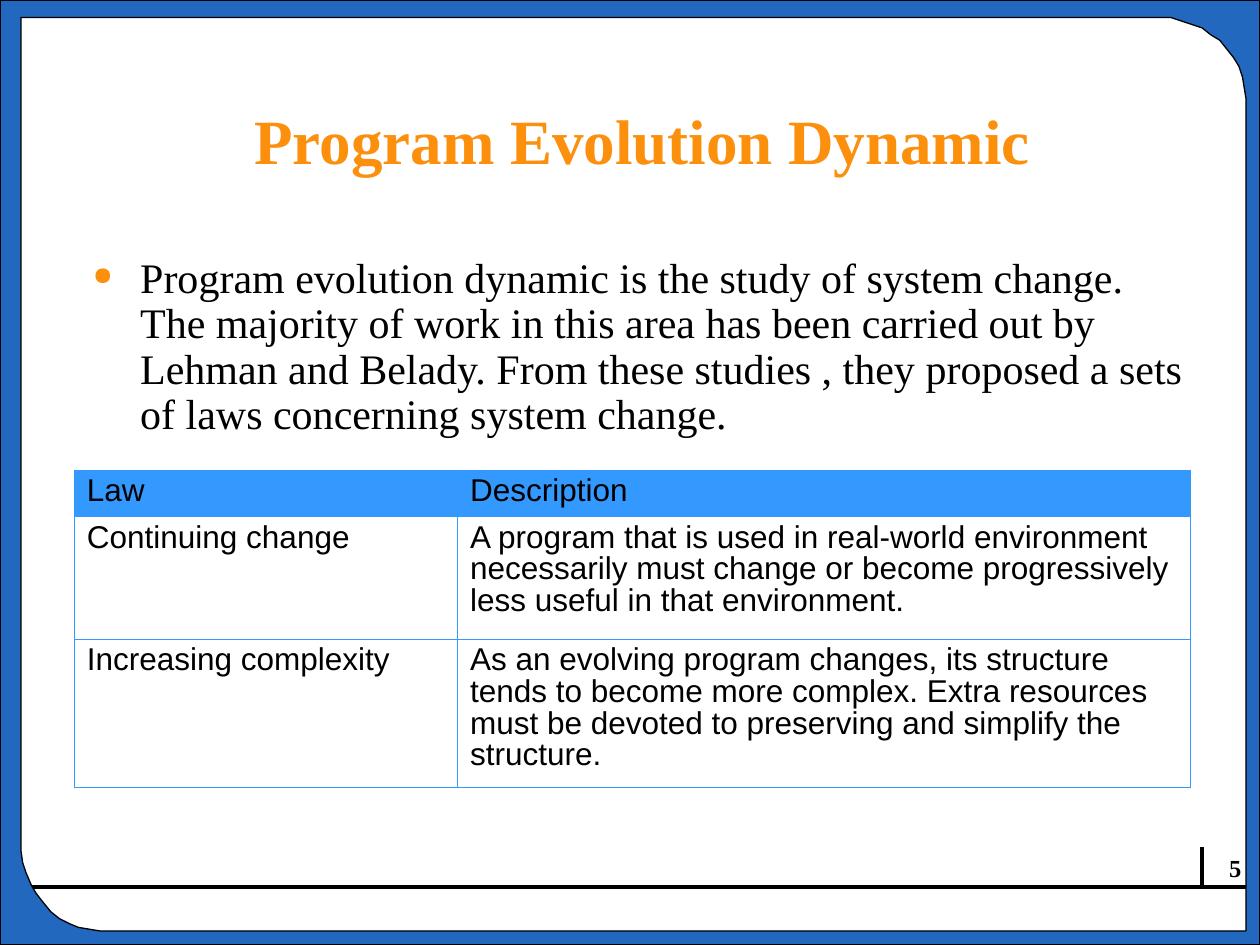
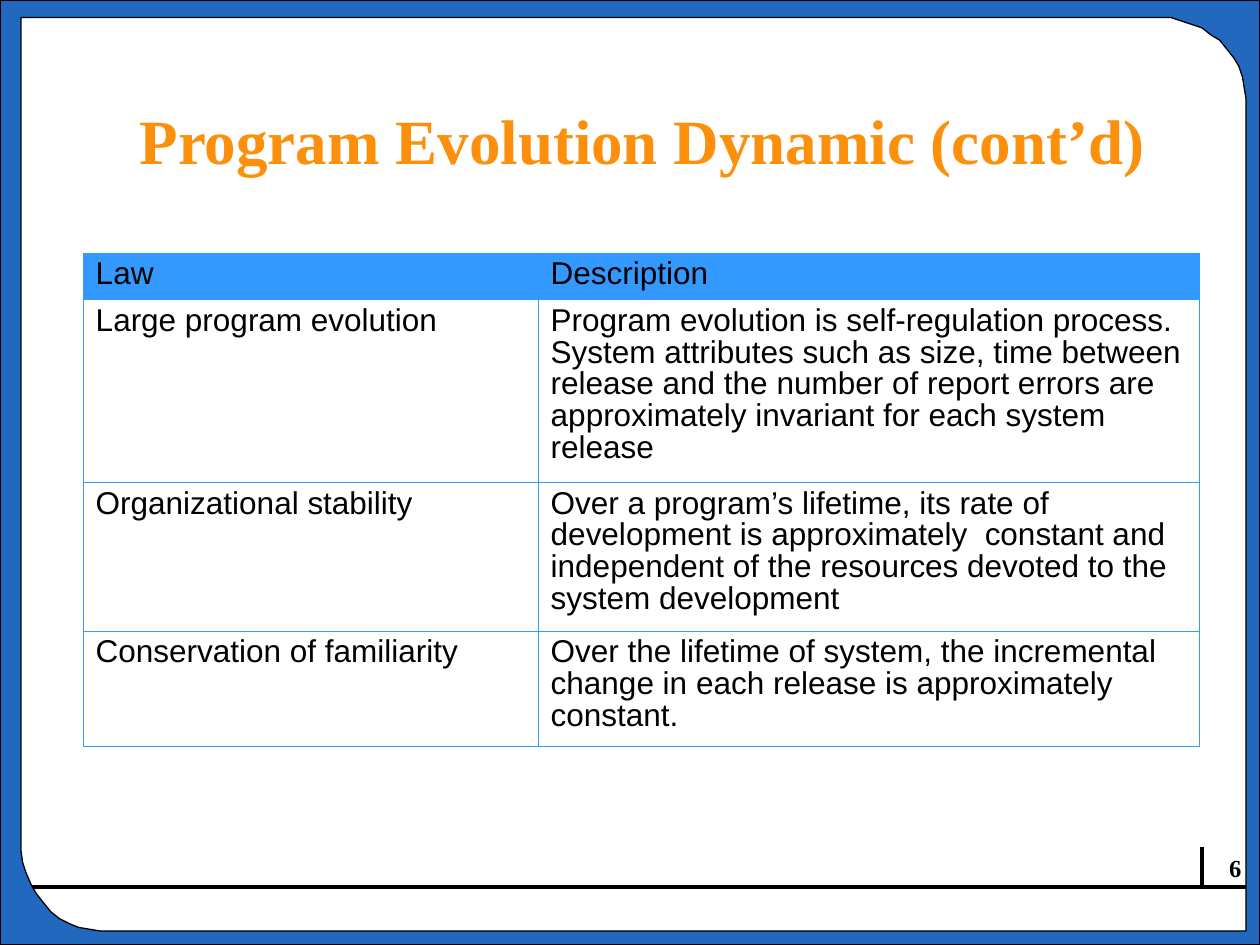
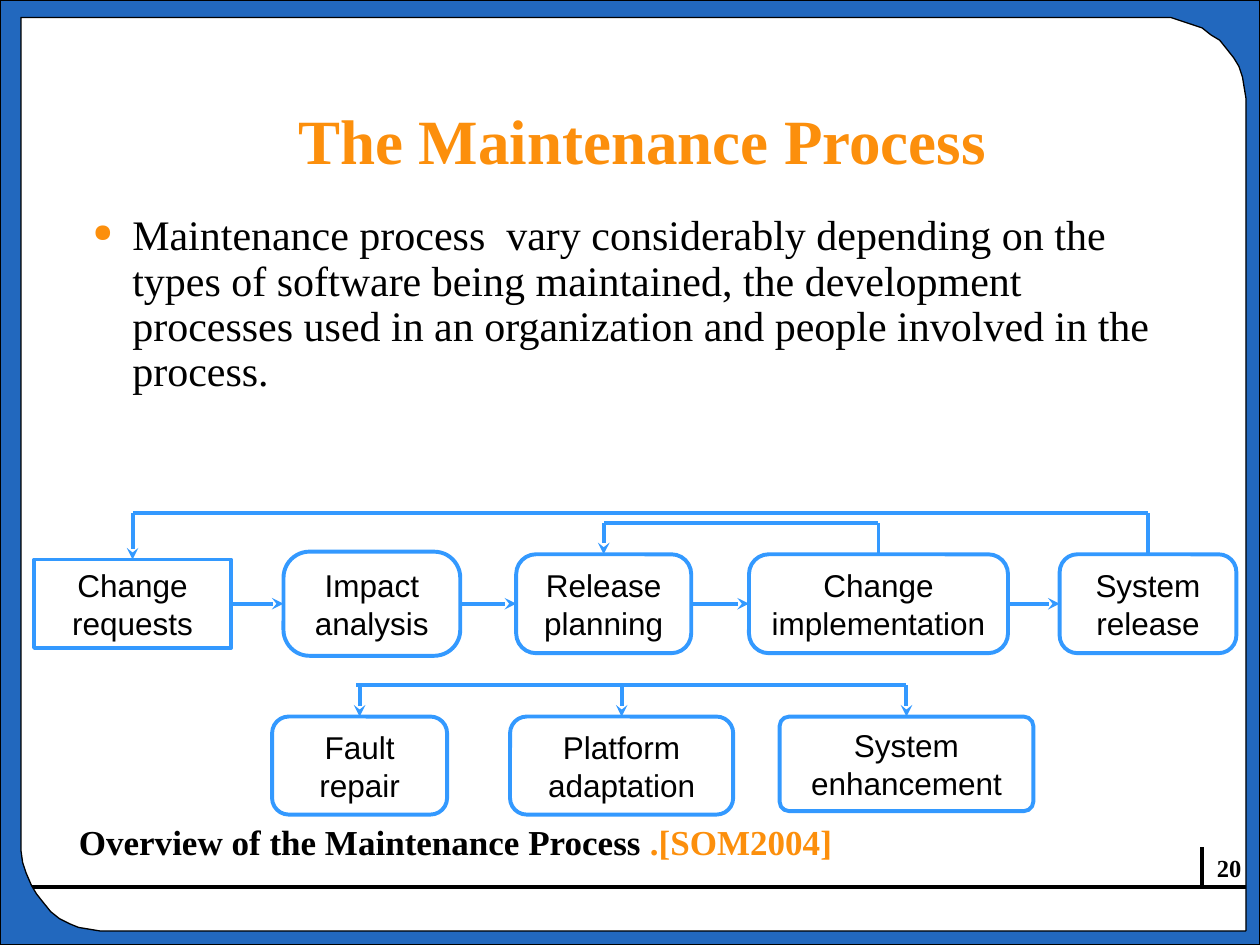
import math

from lxml import etree
from pptx import Presentation
from pptx.dml import color as dml
from pptx.enum import shapes, text
from pptx.oxml import ns
from pptx.util import Pt

BLUE, SKY, ORANGE, BLACK = "2268BE", "3399FF", "FC8F0C", "000000"
SERIF, SANS = "Times New Roman", "Arial"
WIDTH, HEIGHT = 720, 540
ALIGN, ANCHOR = text.PP_ALIGN, text.MSO_ANCHOR
TITLE_BOX = (49.5, 47.5, 635, 57)
PAGE_BOX = (652.5, 484, 64, 24.5)
TOP, LEFT, BOTTOM, RIGHT = range(4)


def color(value):
    """Turn a hex string into a colour."""
    return dml.RGBColor.from_string(value)


def add_xml(parent, tag, **attributes):
    """Append a DrawingML element."""
    return etree.SubElement(parent, ns.qn("a:" + tag), attributes)


def style(paragraph, name, size, hex_color=BLACK, bold=False, align=ALIGN.LEFT, spacing=1.0):
    """Set a paragraph's font, alignment and line spacing."""
    paragraph.alignment, paragraph.line_spacing = align, spacing
    font = paragraph.font
    font.name, font.size, font.bold = name, Pt(size), bold
    font.color.rgb = color(hex_color)


def place(shape, box):
    """Move and size a shape."""
    shape.left, shape.top, shape.width, shape.height = map(Pt, box)


def add_text(slide, box, content, anchor=ANCHOR.TOP):
    """Add a wrapping text box and return its paragraph."""
    frame = slide.shapes.add_textbox(*map(Pt, box)).text_frame
    frame.word_wrap, frame.vertical_anchor = True, anchor
    paragraph = frame.paragraphs[0]
    paragraph.text = content
    return paragraph


def add_line(slide, start, end, hex_color=BLACK, arrow=False):
    """Draw a straight line, with an arrowhead if asked."""
    line = slide.shapes.add_connector(shapes.MSO_CONNECTOR.STRAIGHT, *map(Pt, start + end))
    line.line.color.rgb, line.line.width = color(hex_color), Pt(2.25)
    if arrow:
        add_xml(line.line._get_or_add_ln(), "tailEnd", type="stealth")
    add_xml(line._element.spPr, "effectLst")
    return line


def arc(center, radii, first_angle):
    """Return the points of a quarter ellipse, clockwise."""
    angles = [math.radians(first_angle + 7.5 * step) for step in range(13)]
    return [(center[0] + radii[0] * math.cos(angle), center[1] + radii[1] * math.sin(angle))
            for angle in angles]


def add_border(slide):
    """Draw the blue border around a panel with two round corners."""
    left, top, right, bottom = 11.5, 10, 711.5, 531.5
    panel = [(left, top), *arc((662.5, 56), (49, 46), -90), (right, bottom),
             *arc((57, 479.5), (45.5, 52), 90)]
    builder = slide.shapes.build_freeform(0, 0, scale=Pt(1))
    builder.add_line_segments([(WIDTH, 0), (WIDTH, HEIGHT), (0, HEIGHT)], close=True)
    builder.move_to(*panel[0])
    builder.add_line_segments(panel[1:], close=True)
    border = builder.convert_to_shape()
    border.shadow.inherit = False
    border.fill.solid()
    border.fill.fore_color.rgb = color(BLUE)
    border.line.color.rgb, border.line.width = color(BLACK), Pt(0.75)


def add_slide(presentation, title, number):
    """Add a slide with title, footer lines, border and page number."""
    slide = presentation.slides.add_slide(presentation.slide_layouts[5])
    add_line(slide, (0, 507), (WIDTH, 507))
    add_line(slide, (687, 507), (687, 484))
    add_border(slide)
    style(add_text(slide, PAGE_BOX, str(number)), SERIF, 14, bold=True, align=ALIGN.RIGHT)
    heading = slide.shapes.title
    place(heading, TITLE_BOX)
    heading.text_frame.text = title
    heading.text_frame.vertical_anchor = ANCHOR.BOTTOM
    style(heading.text_frame.paragraphs[0], SERIF, 36, ORANGE, True, ALIGN.CENTER, 0.8)
    return slide


def add_bullet(slide, box, content, indent):
    """Add one bulleted paragraph."""
    paragraph = add_text(slide, box, content)
    properties = paragraph._p.get_or_add_pPr()
    properties.set("marL", str(Pt(indent)))
    properties.set("indent", str(-Pt(indent)))
    add_xml(add_xml(properties, "buClr"), "srgbClr", val=ORANGE)
    add_xml(properties, "buSzPct", val="60000")
    add_xml(properties, "buChar", char="●")
    style(paragraph, SERIF, 24, spacing=0.9)


def add_borders(cell):
    """Draw thin borders on the four sides of a cell."""
    properties = cell._tc.get_or_add_tcPr()
    for index, side in enumerate(("lnL", "lnR", "lnT", "lnB")):
        line = add_xml(properties, side, w=str(Pt(0.45)))
        add_xml(add_xml(line, "solidFill"), "srgbClr", val=SKY)
        properties.insert(index, line)


def add_law_table(slide, origin, columns, heights, laws):
    """Add a table of laws below a filled header row."""
    rows = [("Law", "Description"), *laws]
    box = (*origin, sum(columns), sum(heights))
    table = slide.shapes.add_table(len(rows), len(columns), *map(Pt, box)).table
    table.first_row = table.horz_banding = False
    for column, width in zip(table.columns, columns):
        column.width = Pt(width)
    for row_index, (row, height) in enumerate(zip(table.rows, heights)):
        row.height = Pt(height)
        for cell, content in zip(row.cells, rows[row_index]):
            cell.text = content
            style(cell.text_frame.paragraphs[0], SANS, 18, spacing=0.9)
            if row_index == 0:
                cell.fill.solid()
                cell.fill.fore_color.rgb = color(SKY)
            else:
                cell.fill.background()
            add_borders(cell)


def add_step(slide, label, box, radius):
    """Add an outlined process step."""
    step = slide.shapes.add_shape(shapes.MSO_SHAPE.ROUNDED_RECTANGLE, *map(Pt, box))
    step.adjustments[0] = radius
    step.shadow.inherit = False
    step.fill.background()
    step.line.color.rgb, step.line.width = color(SKY), Pt(2.25)
    frame = step.text_frame
    frame.word_wrap, frame.vertical_anchor = True, ANCHOR.MIDDLE
    frame.text = label
    style(frame.paragraphs[0], SANS, 18, align=ALIGN.CENTER)
    return step


def top_middle(step):
    """Return the middle of a step's upper side in points."""
    return (step.left + step.width / 2) / Pt(1), step.top / Pt(1)


def add_drop(slide, step, rail):
    """Draw an arrow from a rail down to a step."""
    x, y = top_middle(step)
    add_line(slide, (x, rail), (x, y), SKY, True).end_connect(step, TOP)


def add_feedback(slide, source, target, rail):
    """Lead a line from a step over a rail back to an earlier step."""
    (start, y), (end, _) = top_middle(source), top_middle(target)
    add_line(slide, (start, y), (start, rail), SKY).begin_connect(source, TOP)
    add_line(slide, (start, rail), (end, rail), SKY)
    add_drop(slide, target, rail)


def add_process(slide, left, top):
    """Draw the process steps, their feedback and the kinds of change."""
    middle, rail, kinds_top = top + 52, top + 98.5, top + 116.5
    steps = [add_step(slide, label, (left + x, middle - height / 2, width, height), radius)
             for label, x, width, height, radius in (
                 ("Change requests", 0, 112.5, 50.5, 0),
                 ("Impact analysis", 142.5, 101, 59.5, 0.25),
                 ("Release planning", 275.5, 100, 56.5, 0.2),
                 ("Change implementation", 408.5, 148, 56.5, 0.2),
                 ("System release", 586, 101, 56.5, 0.18))]
    kinds = [add_step(slide, label, (left + x, kinds_top, width, height), radius)
             for label, x, width, height, radius in (
                 ("Fault repair", 136, 100, 56, 0.17),
                 ("Platform adaptation", 272, 127.5, 56, 0.17),
                 ("System enhancement", 426, 145, 54, 0.1))]
    requests, _, planning, implementation, release = steps
    add_feedback(slide, release, requests, top)
    add_feedback(slide, implementation, planning, top + 6)
    for source, target in zip(steps, steps[1:]):
        arrow = add_line(slide, (0, middle), (0, middle), SKY, True)
        arrow.begin_connect(source, RIGHT)
        arrow.end_connect(target, LEFT)
    add_line(slide, (top_middle(kinds[0])[0] - 2, rail), (top_middle(kinds[-1])[0], rail), SKY)
    for kind in kinds:
        add_drop(slide, kind, rail)


def add_caption(slide, box, label, reference):
    """Add a bold caption that ends with a coloured reference."""
    paragraph = add_text(slide, box, label, ANCHOR.BOTTOM)
    style(paragraph, SERIF, 20, bold=True, spacing=0.8)
    run = paragraph.add_run()
    run.text = reference
    run.font.color.rgb = color(ORANGE)


def main():
    """Build the three slides."""
    presentation = Presentation()
    presentation.slide_width, presentation.slide_height = Pt(WIDTH), Pt(HEIGHT)

    slide = add_slide(presentation, "Program Evolution Dynamic", 5)
    add_law_table(slide, (42.5, 268.5), (219, 419), (26.5, 70, 85), [
        ("Continuing change",
         "A program that is used in real-world environment necessarily must change or "
         "become progressively less useful in that environment."),
        ("Increasing complexity",
         "As an evolving program changes, its structure tends to become more complex. Extra "
         "resources must be devoted to preserving and simplify the structure.")])
    add_bullet(slide, (46, 143.5, 638, 111),
               "Program evolution dynamic is the study of system change. The majority of work in "
               "this area has been carried out by  Lehman and Belady. From these studies , they "
               "proposed a sets of laws concerning system change.", 27)

    slide = add_slide(presentation, "Program Evolution Dynamic (cont’d)", 6)
    add_law_table(slide, (47.5, 144.5), (260, 378), (26.5, 104.5, 85, 65.5), [
        ("Large program evolution",
         "Program evolution is self-regulation process. System attributes such as size, time "
         "between release and the number of report errors are approximately invariant for "
         "each system release"),
        ("Organizational stability",
         "Over a program’s lifetime, its rate of development is approximately  constant and "
         "independent of the resources devoted to the system development"),
        ("Conservation of familiarity",
         "Over the lifetime of system, the incremental change in each release is "
         "approximately constant.")])

    slide = add_slide(presentation, "The Maintenance Process", 20)
    add_bullet(slide, (46, 119, 638, 291.5),
               "Maintenance process  vary considerably depending on the types of software being "
               "maintained, the development processes used in an organization and people "
               "involved in the process.", 22.5)
    add_process(slide, 19.5, 293)
    add_caption(slide, (38, 469.5, 635, 26.5),
                "Overview of the Maintenance Process ", ".[SOM2004]")

    presentation.save("out.pptx")


if __name__ == "__main__":
    main()
